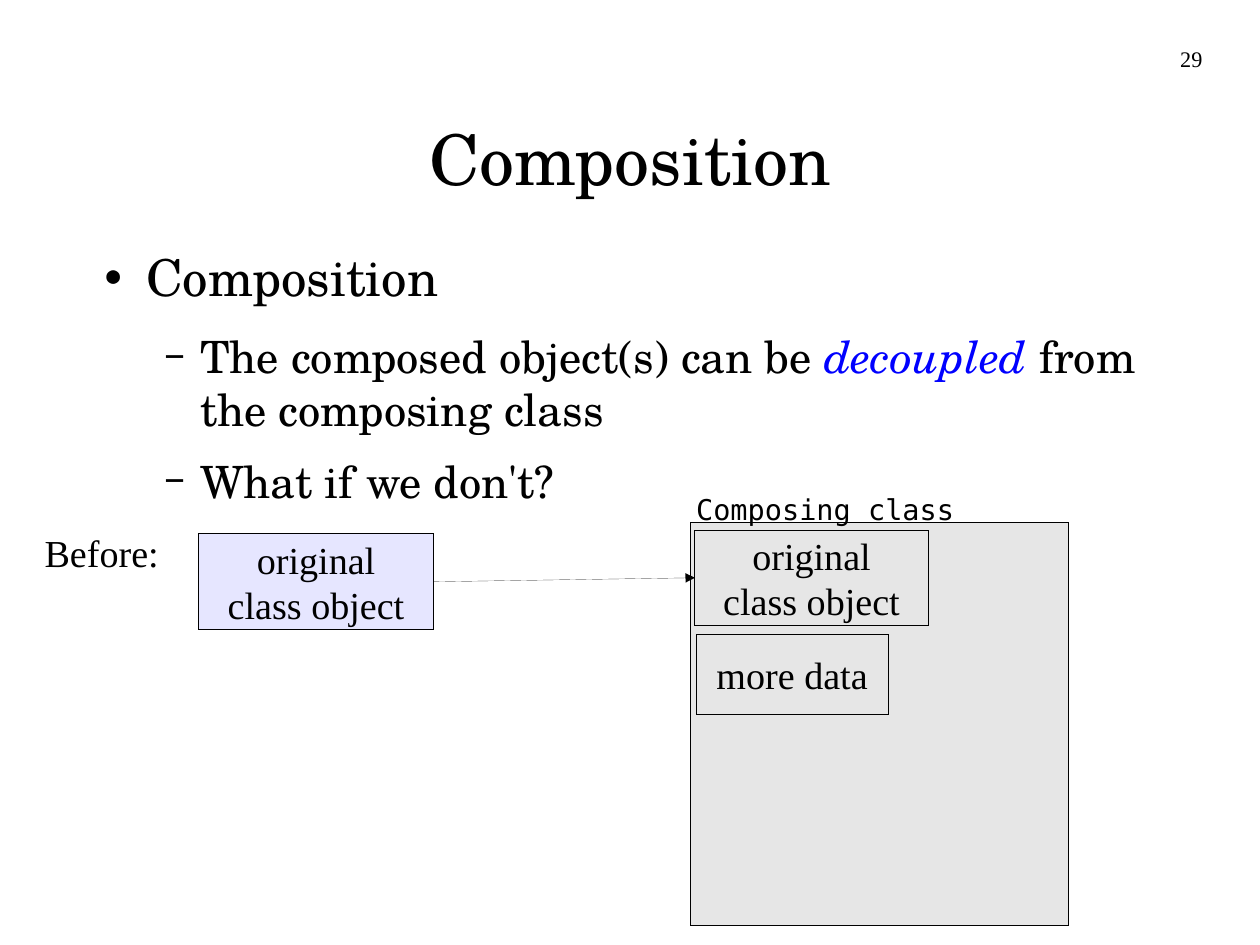
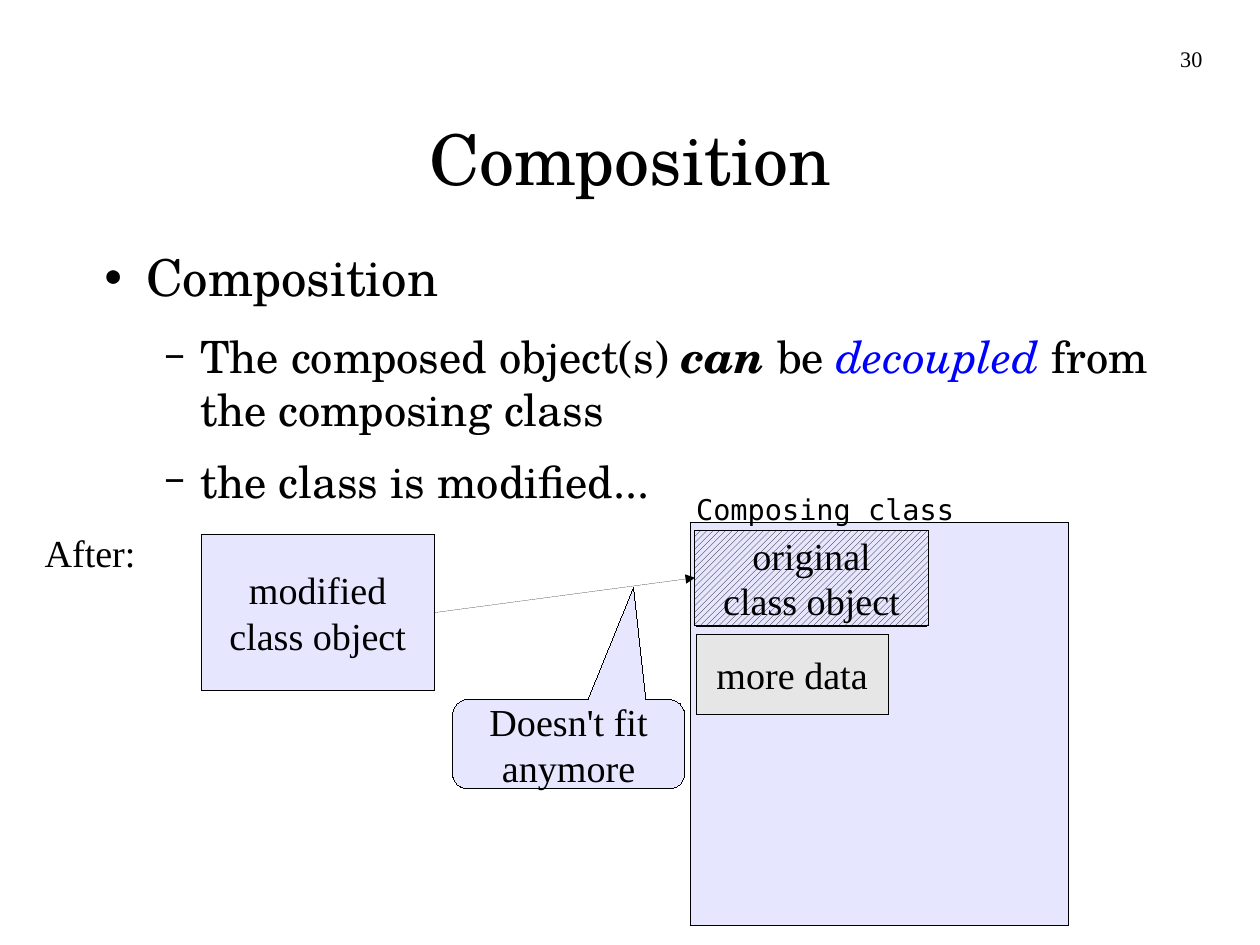
from dataclasses import dataclass

from lxml import etree
from pptx import Presentation
from pptx import util as u
from pptx.dml.color import RGBColor
from pptx.enum import dml, shapes, text
from pptx.oxml import ns

BLACK, BLUE, LILAC, GREY = "000000", "0000FF", "E6E6FF", "E6E6E6"
SERIF, SCHOLA, MONO = "Times New Roman", "TeX Gyre Schola", "DejaVu Sans Mono"
RECT = shapes.MSO_SHAPE.RECTANGLE
CALL = shapes.MSO_SHAPE.ROUNDED_RECTANGULAR_CALLOUT
LEFT, MID, RIGHT = text.PP_ALIGN.LEFT, text.PP_ALIGN.CENTER, text.PP_ALIGN.RIGHT


@dataclass(frozen=True)
class Run:
    words: str
    color: str = BLACK
    bold: bool = False
    slant: bool = False


@dataclass(frozen=True)
class Level:
    size: int
    left: float
    hang: float
    after: float
    mark: str
    scale: int


@dataclass(frozen=True)
class Box:
    left: float
    top: float
    width: float
    height: float
    fill: str
    lines: tuple[str, ...] = ()
    kind: shapes.MSO_SHAPE = RECT
    adjust: tuple[float, ...] = ()
    hatch: bool = False


@dataclass(frozen=True)
class Page:
    number: str
    state: str
    width: float
    claim: tuple[Run, ...]
    point: str
    frame: str
    source: Box
    target: Box
    extra: tuple[Box, ...] = ()


TOP = Level(32, 0.47, 0.35, 14.1, "●", 45)
SUB = Level(28, 0.94, 0.31, 11.3, "−", 75)
KEY = Run("decoupled", BLUE, slant=True)
END = Run(" from the composing class")
PART = (6.08, 4.64, 2.04, 0.83)
OLD = ("original", "class object")

PAGES = (
    Page("29", "Before:", 1.14,
         (Run("The composed object(s) can be "), KEY, END),
         "What if we don't?", GREY,
         Box(1.74, 4.67, 2.05, 0.84, LILAC, OLD),
         Box(*PART, GREY, OLD)),
    Page("30", "After:", 0.91,
         (Run("The composed object(s) "), Run("can", bold=True, slant=True),
          Run(" be "), KEY, END),
         "the class is modified...", LILAC,
         Box(1.76, 4.68, 2.04, 1.36, LILAC, ("modified", "class object")),
         Box(*PART, LILAC, OLD, hatch=True),
         (Box(3.96, 6.12, 2.03, 0.78, LILAC, ("Doesn't fit", "anymore"),
              CALL, (0.28, -1.76, 0.17)),)),
)


def tint(code: str) -> RGBColor:
    return RGBColor.from_string(code)


def add_run(para, run: Run, size: int, face: str) -> None:
    item = para.add_run()
    item.text = run.words
    font = item.font
    font.size, font.name = u.Pt(size), face
    font.bold, font.italic = run.bold, run.slant
    font.color.rgb = tint(run.color)


def set_frame(frame, wrap: bool, anchor=text.MSO_ANCHOR.TOP) -> None:
    frame.word_wrap = wrap
    frame.vertical_anchor = anchor
    frame.margin_left = frame.margin_right = 0
    frame.margin_top = frame.margin_bottom = 0


def add_text(slide, left: float, top: float, width: float, height: float,
             words: str, size: int, face: str, align=LEFT, wrap: bool = False,
             anchor=text.MSO_ANCHOR.TOP) -> None:
    shape = slide.shapes.add_textbox(*map(u.Inches, (left, top, width, height)))
    set_frame(shape.text_frame, wrap, anchor)
    para = shape.text_frame.paragraphs[0]
    para.alignment = align
    add_run(para, Run(words), size, face)


def add_mark(para, level: Level) -> None:
    props = para._p.get_or_add_pPr()
    props.set("marL", str(u.Inches(level.left)))
    props.set("indent", str(-u.Inches(level.hang)))
    color = etree.SubElement(props, ns.qn("a:buClr"))
    etree.SubElement(color, ns.qn("a:srgbClr"), val=BLACK)
    etree.SubElement(props, ns.qn("a:buSzPct"), val=str(level.scale * 1000))
    etree.SubElement(props, ns.qn("a:buFont"), typeface=MONO)
    etree.SubElement(props, ns.qn("a:buChar"), char=level.mark)
    para.space_after = u.Pt(level.after)


def add_body(slide, page: Page) -> None:
    shape = slide.shapes.add_textbox(*map(u.Inches, (0.81, 2.15, 9.69, 5.59)))
    frame = shape.text_frame
    set_frame(frame, True)
    items = ((TOP, (Run("Composition"),)), (SUB, page.claim),
             (SUB, (Run(page.point),)))
    for index, (level, runs) in enumerate(items):
        para = frame.add_paragraph() if index else frame.paragraphs[0]
        para.level = int(level is SUB)
        add_mark(para, level)
        for run in runs:
            add_run(para, run, level.size, SCHOLA)


def set_line(line) -> None:
    line.color.rgb = tint(BLACK)
    line.width = u.Pt(0.01)


def add_box(slide, box: Box):
    place = map(u.Inches, (box.left, box.top, box.width, box.height))
    shape = slide.shapes.add_shape(box.kind, *place)
    shape.shadow.inherit = False
    for index, value in enumerate(box.adjust):
        shape.adjustments[index] = value
    if box.hatch:
        shape.fill.patterned()
        shape.fill.pattern = dml.MSO_PATTERN.WIDE_UPWARD_DIAGONAL
        shape.fill.fore_color.rgb = tint(BLACK)
        shape.fill.back_color.rgb = tint(box.fill)
    else:
        shape.fill.solid()
        shape.fill.fore_color.rgb = tint(box.fill)
    set_line(shape.line)
    frame = shape.text_frame
    set_frame(frame, False, text.MSO_ANCHOR.MIDDLE)
    for index, words in enumerate(box.lines):
        para = frame.add_paragraph() if index else frame.paragraphs[0]
        para.alignment = MID
        add_run(para, Run(words), 24, SERIF)
    return shape


def add_arrow(slide, start, end) -> None:
    arrow = slide.shapes.add_connector(shapes.MSO_CONNECTOR.STRAIGHT, 0, 0, 0, 0)
    arrow.begin_connect(start, 3)
    arrow.end_connect(end, 1)
    set_line(arrow.line)
    etree.SubElement(arrow.line._get_or_add_ln(), ns.qn("a:tailEnd"), type="triangle")
    etree.SubElement(arrow._element.spPr, ns.qn("a:effectLst"))


def add_page(deck, page: Page) -> None:
    slide = deck.slides.add_slide(deck.slide_layouts[6])
    add_box(slide, Box(6.04, 4.57, 3.31, 3.53, page.frame))
    add_text(slide, 0.81, 0.69, 9.41, 1.38, "Composition", 44, SCHOLA, MID, True,
             text.MSO_ANCHOR.MIDDLE)
    add_body(slide, page)
    add_text(slide, 6.09, 4.3, 2.26, 0.29, "Composing class", 18, MONO)
    if page.target.hatch:
        add_box(slide, Box(6.09, 4.65, 2.02, 0.83, LILAC))
    start = add_box(slide, page.source)
    end = add_box(slide, page.target)
    add_box(slide, Box(6.09, 5.55, 1.68, 0.7, GREY, ("more data",)))
    add_arrow(slide, start, end)
    for box in page.extra:
        add_box(slide, box)
    add_text(slide, 0.39, 4.63, page.width, 0.46, page.state, 24, SERIF)
    add_text(slide, 7.95, 0.4, 2.57, 0.57, page.number, 14, SERIF, RIGHT, True)


def main() -> None:
    deck = Presentation()
    deck.slide_width, deck.slide_height = u.Inches(28 / 2.54), u.Inches(21 / 2.54)
    for page in PAGES:
        add_page(deck, page)
    deck.save("out.pptx")


if __name__ == "__main__":
    main()
